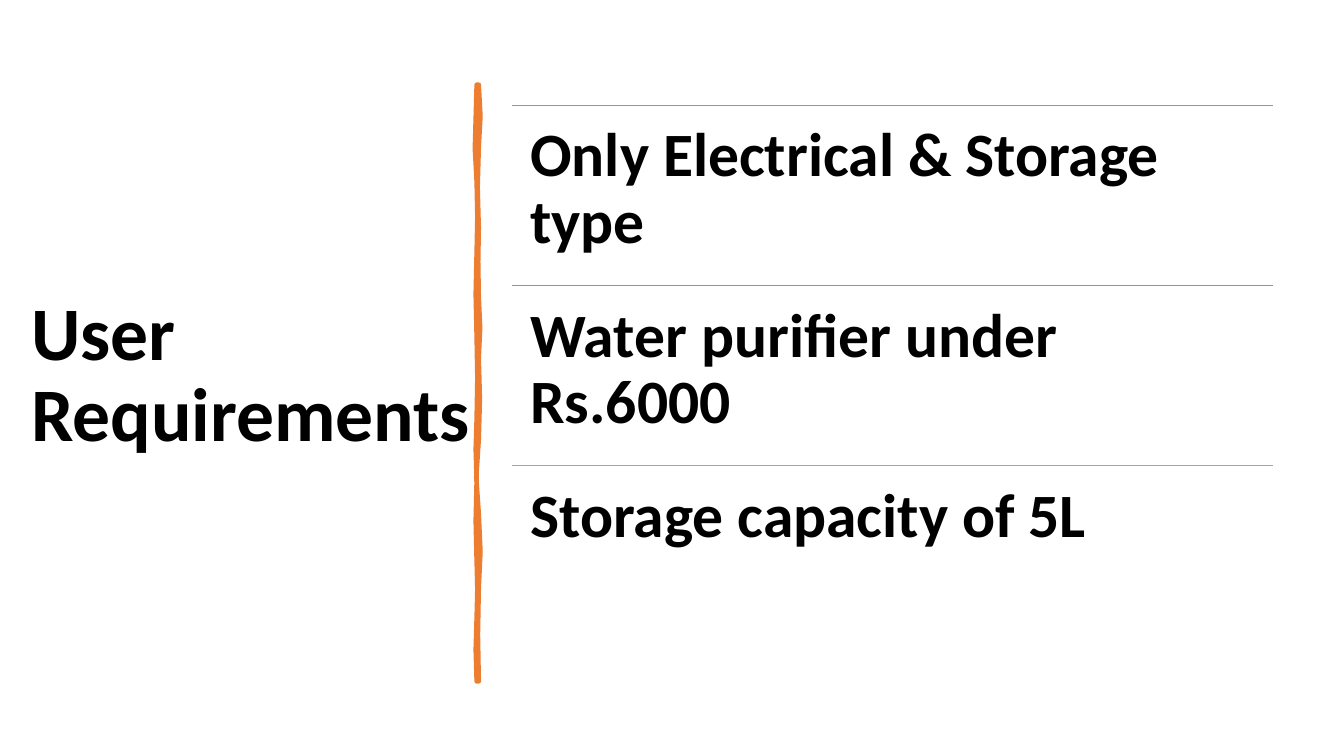
"""Build the user requirements slide: a title, a hand-drawn rule and three ruled items."""
from pptx import Presentation
from pptx import util as u
from pptx.dml.color import RGBColor
from pptx.enum import shapes, text
from pptx.oxml.ns import qn
from lxml import etree

BLACK = RGBColor(0x00, 0x00, 0x00)
ORANGE = RGBColor(0xED, 0x7D, 0x31)
BROWN = RGBColor(0xC4, 0x81, 0x70)
GREY = RGBColor(0xA5, 0xA5, 0xA5)

HEADING = "User Requirements"
REQUIREMENTS = [
    ("Only Electrical & Storage type", ORANGE),
    ("Water purifier under Rs.6000", BROWN),
    ("Storage capacity of 5L", GREY),
]
BRUSH_RIGHT = [
    (342, 60.5), (343.2, 83), (342, 105), (341.2, 134), (342, 163), (341.6, 187),
    (342, 212), (343, 234), (342, 256), (342.8, 285), (342, 314), (340.2, 341),
    (342, 367), (343.2, 394), (342, 420), (341.4, 453), (342, 486.7),
]
BRUSH_LEFT = [
    (340.5, 486.7), (339.8, 464), (340.5, 441), (341, 421), (340.5, 401), (339.8, 372),
    (340.5, 343), (339.8, 321), (340.5, 299), (341, 270), (340.5, 241), (339.8, 210),
    (340.5, 180), (341, 155), (340.5, 130), (339.2, 106), (340.5, 60.5),
]
ITEM_LEFT, ITEM_TOP, ITEM_WIDTH, ITEM_HEIGHT = 365.8, 75.4, 543.6, 128.6
TITLE_AREA = (15.1, 49, 335.5, 440)

TITLE_FONT = {"name": "Calibri", "size": u.Pt(54), "bold": True}
ITEM_FONT = {"name": "Calibri", "size": u.Pt(44), "bold": True}
TITLE_FRAME = {"word_wrap": True, "vertical_anchor": text.MSO_ANCHOR.MIDDLE}
ITEM_FRAME = {"word_wrap": True, "vertical_anchor": text.MSO_ANCHOR.TOP}
ITEM_FRAME.update({f"margin_{side}": u.Pt(13) for side in ("left", "right", "top", "bottom")})


def apply(target, formats):
    for attribute, value in formats.items():
        setattr(target, attribute, value)


def add_words(slide, words, area, frame_format, font_format):
    frame = slide.shapes.add_textbox(*map(u.Pt, area)).text_frame
    apply(frame, frame_format)
    paragraph = frame.paragraphs[0]
    paragraph.line_spacing = 0.9
    run = paragraph.add_run()
    run.text = words
    apply(run.font, font_format)
    run.font.color.rgb = BLACK


def add_brush_rule(slide):
    start, *rest = [(u.Pt(x), u.Pt(y)) for x, y in BRUSH_RIGHT + BRUSH_LEFT]
    outline = slide.shapes.build_freeform(*start)
    outline.add_line_segments(rest, close=True)
    brush = outline.convert_to_shape()
    brush.shadow.inherit = False
    brush.fill.solid()
    brush.fill.fore_color.rgb = ORANGE
    brush.line.color.rgb = ORANGE
    brush.line.width = u.Pt(3.25)


def add_requirement(slide, index, words, color):
    top = ITEM_TOP + index * ITEM_HEIGHT
    ends = (ITEM_LEFT, top, ITEM_LEFT + ITEM_WIDTH, top)
    divider = slide.shapes.add_connector(shapes.MSO_CONNECTOR.STRAIGHT, *map(u.Pt, ends))
    divider.line.color.rgb = color
    divider.line.width = u.Pt(1)
    etree.SubElement(divider._element.spPr, qn("a:effectLst"))
    area = (ITEM_LEFT, top, ITEM_WIDTH, ITEM_HEIGHT)
    add_words(slide, words, area, ITEM_FRAME, ITEM_FONT)


def main():
    deck = Presentation()
    apply(deck, {"slide_width": u.Pt(960), "slide_height": u.Pt(540)})
    slide = deck.slides.add_slide(deck.slide_layouts[6])
    add_words(slide, HEADING, TITLE_AREA, TITLE_FRAME, TITLE_FONT)
    add_brush_rule(slide)
    for index, (words, color) in enumerate(REQUIREMENTS):
        add_requirement(slide, index, words, color)
    deck.save("out.pptx")


if __name__ == "__main__":
    main()
